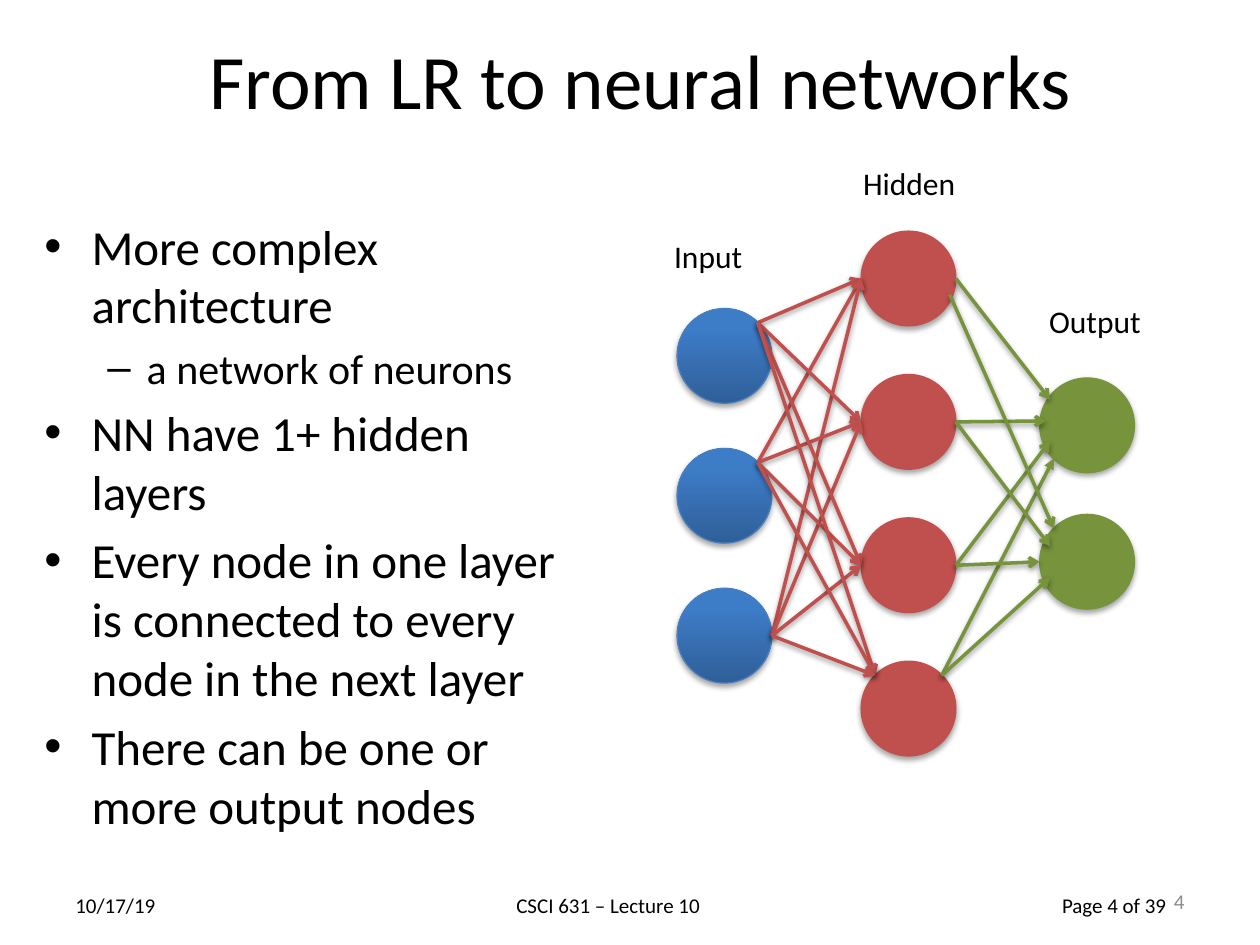
from dataclasses import dataclass
from itertools import product

from pptx import Presentation, oxml
from pptx import util as u
from pptx.dml.color import RGBColor
from pptx.enum import shapes, text
from pptx.oxml import ns


@dataclass(frozen=True)
class Theme:
    font: str = "Calibri"
    ink: str = "000000"
    gray: str = "8C8C8C"
    rim: str = "4B7EBC"
    deep: str = "2F5F99"
    blue: str = "3D7CC7"
    red: str = "C0504D"
    green: str = "77933C"
    title: int = 44
    body: int = 28
    sub: int = 24
    label: int = 18
    foot: int = 12


T = Theme()
SIZE = 1.91
HALF = SIZE / 2
DIAG = 0.67

POINTS = [
    ("More complex architecture", 0),
    ("a network of neurons", 1),
    ("NN have 1+ hidden layers", 0),
    ("Every node in one layer is connected to every node in the next layer", 0),
    ("There can be one or more output nodes", 0),
]

LABELS = [
    ("Input", 13.34, 4.65, 1.91),
    ("Hidden", 17.15, 3.18, 2.39),
    ("Output", 20.9, 5.97, 2.39),
]

FOOTS = [
    ("10/17/19", 1.27, 2.34),
    ("CSCI 631 – Lecture 10", 10.16, 4.65),
    ("Page 4 of 39", 21.16, 2.97),
]

RIGHT = (HALF, 0)
LEFT = (-HALF, 0)
OUT_LINKS = [
    (0, 0, RIGHT, (-0.75, -0.52), "arrow"),
    (1, 0, RIGHT, (-0.83, -0.09), "arrow"),
    (2, 0, RIGHT, (-0.75, 0.32), "arrow"),
    (3, 0, (DIAG, -DIAG), (-DIAG, DIAG), "triangle"),
    (0, 1, (0.83, 0.32), (-DIAG, -DIAG), "arrow"),
    (1, 1, RIGHT, (-0.75, -0.32), "arrow"),
    (2, 1, RIGHT, LEFT, "arrow"),
    (3, 1, (DIAG, -DIAG), (-0.75, 0.32), "arrow"),
]


def rgb(code):
    return RGBColor.from_string(code)


def place(shape, *box):
    shape.left, shape.top, shape.width, shape.height = map(u.Cm, box)


def write(par, words, size=T.label, color=T.ink, align=None, level=0):
    par.level = level
    par.alignment = align
    run = par.add_run()
    run.text = words
    run.font.name = T.font
    run.font.size = u.Pt(size)
    run.font.color.rgb = rgb(color)


def add_text(slide, words, *box, wrap=True, anchor=None, **style):
    frame = slide.shapes.add_textbox(*map(u.Cm, box)).text_frame
    frame.word_wrap = wrap
    frame.vertical_anchor = anchor
    write(frame.paragraphs[0], words, **style)


def add_shade(shape, dist, alpha):
    shape._element.spPr.append(oxml.parse_xml(
        f'<a:effectLst {ns.nsdecls("a")}>'
        f'<a:outerShdw blurRad="40000" dist="{dist}" dir="5400000" rotWithShape="0">'
        f'<a:srgbClr val="000000"><a:alpha val="{alpha}"/></a:srgbClr>'
        '</a:outerShdw></a:effectLst>'))


def add_node(slide, x, y, fill, edge):
    node = slide.shapes.add_shape(
        shapes.MSO_SHAPE.OVAL, *map(u.Cm, (x, y, SIZE, SIZE)))
    if isinstance(fill, tuple):
        node.fill.gradient()
        node.fill.gradient_angle = 90
        for stop, color, pos in zip(node.fill.gradient_stops, fill, (0, 0.8)):
            stop.color.rgb = rgb(color)
            stop.position = pos
    else:
        node.fill.solid()
        node.fill.fore_color.rgb = rgb(fill)
    node.line.color.rgb = rgb(edge)
    node.line.width = u.Pt(0.75)
    add_shade(node, 23000, 35000)
    return x + HALF, y + HALF


def add_layer(slide, x, top, step, count, fill, edge):
    return [add_node(slide, x, top + i * step, fill, edge) for i in range(count)]


def add_link(slide, start, end, off, to, color, head="arrow"):
    ends = start[0] + off[0], start[1] + off[1], end[0] + to[0], end[1] + to[1]
    link = slide.shapes.add_connector(
        shapes.MSO_CONNECTOR.STRAIGHT, *map(u.Cm, ends))
    link.line.color.rgb = rgb(color)
    link.line.width = u.Pt(2)
    tip = oxml.parse_xml(f'<a:tailEnd {ns.nsdecls("a")} type="{head}"/>')
    link._element.spPr.find(ns.qn("a:ln")).append(tip)
    add_shade(link, 20000, 38000)


def add_net(slide):
    inputs = add_layer(slide, 13.65, 6.22, 2.82, 3, (T.deep, T.blue), T.rim)
    hidden = add_layer(slide, 17.36, 4.66, 2.89, 4, T.red, T.red)
    outputs = add_layer(slide, 20.96, 7.62, 2.75, 2, T.green, T.green)
    for goal, node in product(hidden, inputs):
        off = RIGHT if node == inputs[-1] else (DIAG, -DIAG)
        to = (-DIAG, -DIAG) if goal == hidden[-1] else LEFT
        add_link(slide, node, goal, off, to, T.red)
    for i, j, off, to, head in OUT_LINKS:
        add_link(slide, hidden[i], outputs[j], off, to, T.green, head)


def add_heads(slide):
    title, body = slide.placeholders
    place(title, 1.48, 0, 22.86, 3.18)
    write(title.text_frame.paragraphs[0], "From LR to neural networks",
          size=T.title, align=text.PP_ALIGN.CENTER)
    place(body, 0.64, 4.23, 11.43, 12.57)
    frame = body.text_frame
    frame.auto_size = text.MSO_AUTO_SIZE.NONE
    for i, (words, level) in enumerate(POINTS):
        par = frame.add_paragraph() if i else frame.paragraphs[0]
        write(par, words, size=T.sub if level else T.body, level=level)


def main():
    deck = Presentation()
    deck.slide_width, deck.slide_height = u.Cm(25.4), u.Cm(19.05)
    slide = deck.slides.add_slide(deck.slide_layouts[1])
    add_heads(slide)
    for words, x, wide in FOOTS:
        add_text(slide, words, x, 17.86, wide, 0.77, size=T.foot)
    add_text(slide, "4", 18.2, 17.66, 5.93, 1.01, size=T.foot, color=T.gray,
             align=text.PP_ALIGN.RIGHT, anchor=text.MSO_ANCHOR.MIDDLE)
    add_net(slide)
    for words, x, y, wide in LABELS:
        add_text(slide, words, x, y, wide, 1.03, wrap=False)
    deck.save("out.pptx")


if __name__ == "__main__":
    main()
